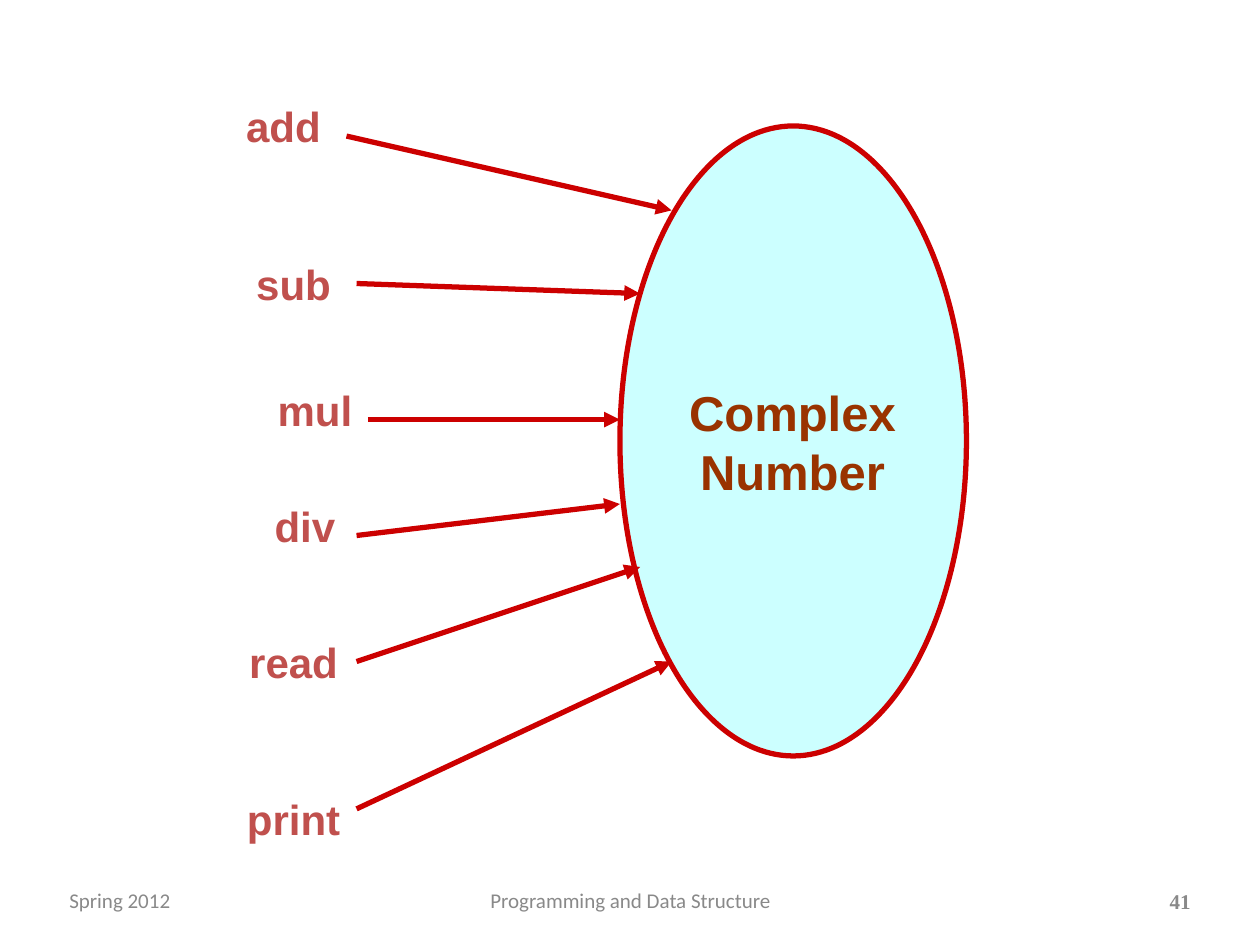
from lxml.etree import SubElement as Sub
from pptx import Presentation
from pptx.dml.color import RGBColor
from pptx.enum.shapes import MSO_CONNECTOR as Conn, MSO_SHAPE as Shape
from pptx.enum.text import MSO_ANCHOR as Anchor, MSO_AUTO_SIZE as Auto, PP_ALIGN as Align
from pptx.oxml.ns import qn
from pptx.util import Inches, Pt

RED = "CC0000"
GREY = "898989"
OPS = [
    ("add", (1.75, 0.75), (2.75, 1.08), (5.33, 1.67)),
    ("sub", (1.83, 2), (2.83, 2.25), (5.08, 2.33)),
    ("mul", (2, 3), (2.92, 3.33), (4.92, 3.33)),
    ("div", (1.92, 3.92), (2.83, 4.25), (4.92, 4)),
    ("read", (1.83, 5), (2.83, 5.25), (5.08, 4.5)),
    ("print", (1.83, 6.25), (2.83, 6.42), (5.33, 5.25)),
]


def paint(color, code):
    """Set a colour from a hex string."""
    color.rgb = RGBColor.from_string(code)


def stroke(line):
    """Give a line the red three-point look."""
    paint(line.color, RED)
    line.width = Pt(3)


def label(slide, text, box, size, code, font="Arial", bold=True,
          align=Align.CENTER, anchor=Anchor.MIDDLE, wrap=True, before=0):
    """Add a text box with one look for all its lines."""
    frame = slide.shapes.add_textbox(*map(Inches, box)).text_frame
    frame.margin_left = frame.margin_right = Inches(0.05)
    frame.margin_top = frame.margin_bottom = Inches(0.05)
    frame.word_wrap = wrap
    frame.auto_size = Auto.SHAPE_TO_FIT_TEXT
    frame.vertical_anchor = anchor
    frame.text = text
    for para in frame.paragraphs:
        para.alignment = align
        para.space_before = Pt(before)
        para.font.name = font
        para.font.size = Pt(size)
        para.font.bold = bold
        paint(para.font.color, code)


def arrow(slide, start, end):
    """Add a red arrow between two points."""
    link = slide.shapes.add_connector(Conn.STRAIGHT, *map(Inches, start + end))
    stroke(link.line)
    Sub(link.line._get_or_add_ln(), qn("a:tailEnd"), type="triangle")
    Sub(link._element.spPr, qn("a:effectLst"))


def oval(slide, box, code):
    """Add a filled ellipse with a red outline."""
    shape = slide.shapes.add_shape(Shape.OVAL, *map(Inches, box))
    shape.shadow.inherit = False
    shape.fill.solid()
    paint(shape.fill.fore_color, code)
    stroke(shape.line)


def footer(slide):
    """Add the date, the course title and the page number."""
    label(slide, "Spring 2012", (0.5, 7, 2.33, 0.29), 12, GREY, "Calibri",
          False, Align.LEFT)
    label(slide, "Programming and Data Structure", (3.42, 7, 3.17, 0.29), 12,
          GREY, "Calibri", False)
    label(slide, "41", (9.22, 7, 0.28, 0.3), 12, GREY, "Times New Roman",
          align=Align.RIGHT, wrap=False)


def main():
    """Build and save the slide."""
    deck = Presentation()
    deck.slide_width, deck.slide_height = Inches(10), Inches(7.5)
    slide = deck.slides.add_slide(deck.slide_layouts[6])
    footer(slide)
    oval(slide, (4.92, 1, 2.75, 5), "CCFFFF")
    label(slide, "Complex\nNumber", (5.36, 3.01, 1.86, 0.98), 28, "993300",
          wrap=False)
    for name, spot, start, end in OPS:
        arrow(slide, start, end)
        label(slide, name, spot + (1, 0.48), 24, "C0504D", anchor=Anchor.TOP,
              before=14)
    deck.save("out.pptx")


main()
